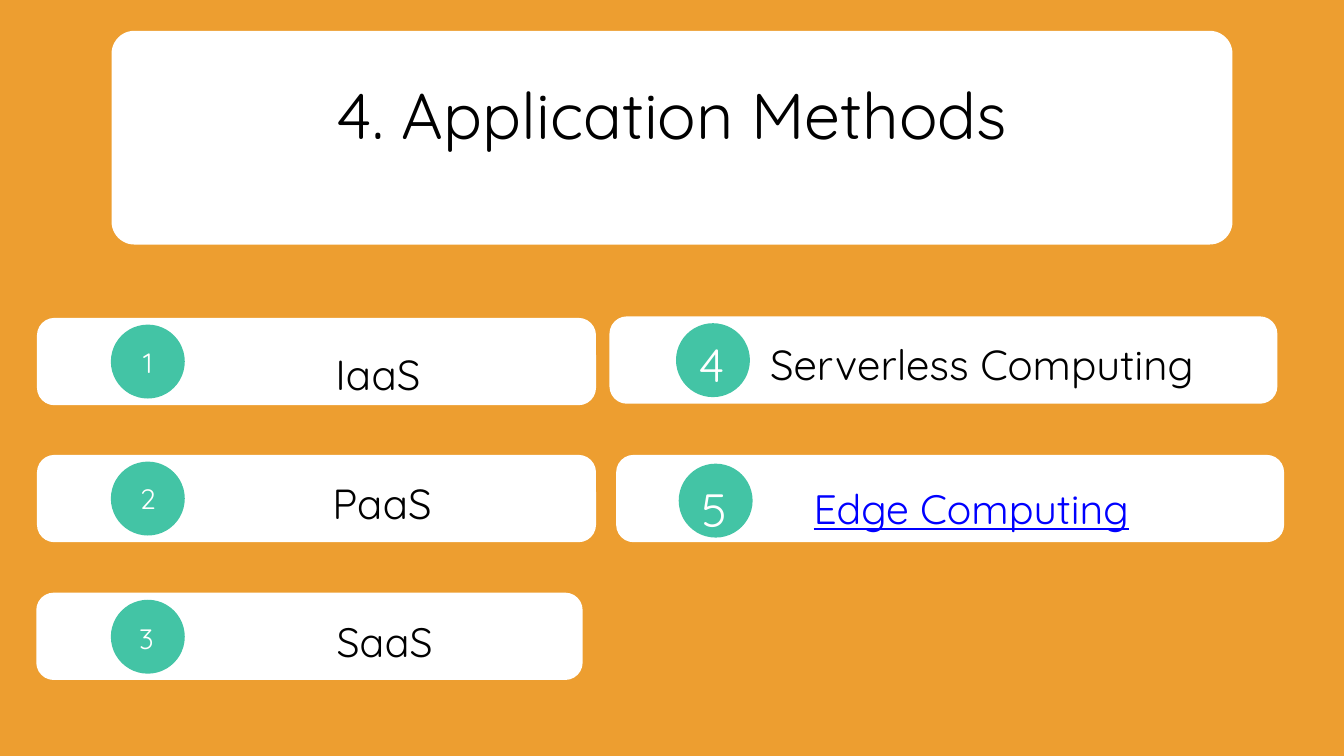
from pptx import Presentation
from pptx.dml.color import RGBColor
from pptx.enum import shapes, text
from pptx.util import Pt


def color(value):
    return RGBColor.from_string(value)


class Deck:
    font = "Quicksand"
    orange, white, green = "ED9E30", "FFFFFF", "43C4A5"
    black, blue = "000000", "0000FF"

    def __init__(self, width, height):
        self.presentation = Presentation()
        self.presentation.slide_width = Pt(width)
        self.presentation.slide_height = Pt(height)
        self.slide = self.presentation.slides.add_slide(self.presentation.slide_layouts[5])
        fill = self.slide.background.fill
        fill.solid()
        fill.fore_color.rgb = color(self.orange)

    def block(self, kind, left, top, width, height, fill):
        block = self.slide.shapes.add_shape(kind, Pt(left), Pt(top), Pt(width), Pt(height))
        block.shadow.inherit = False
        block.fill.solid()
        block.fill.fore_color.rgb = color(fill)
        block.line.fill.background()
        return block

    def card(self, left, top, width, height, rounding):
        card = self.block(shapes.MSO_SHAPE.ROUNDED_RECTANGLE, left, top, width, height, self.white)
        card.adjustments[0] = rounding

    def circle(self, left, top, size):
        self.block(shapes.MSO_SHAPE.OVAL, left, top, size, size, self.green)

    def set_words(self, holder, words, size, spacing, fill, underline=None):
        frame = holder.text_frame
        frame.text = words
        frame.word_wrap = True
        frame.auto_size = text.MSO_AUTO_SIZE.NONE
        frame.vertical_anchor = text.MSO_ANCHOR.TOP
        frame.margin_left = frame.margin_right = frame.margin_top = frame.margin_bottom = 0
        line = frame.paragraphs[0]
        line.alignment = text.PP_ALIGN.CENTER
        line.line_spacing = Pt(spacing)
        font = line.runs[0].font
        font.name, font.size, font.underline = self.font, Pt(size), underline
        font.color.rgb = color(fill)

    def title(self, words, left, top, width, height):
        title = self.slide.shapes.title
        title.left, title.top, title.width, title.height = Pt(left), Pt(top), Pt(width), Pt(height)
        self.slide.shapes._spTree.append(title._element)
        self.set_words(title, words, 69.2, 83, self.black)

    def label(self, words, left, top, width, size, fill, underline=None):
        spacing = size * 1.3
        label = self.slide.shapes.add_textbox(Pt(left), Pt(top), Pt(width), Pt(spacing))
        self.set_words(label, words, size, spacing, fill, underline)

    def save(self):
        self.presentation.save("out.pptx")


def main():
    deck = Deck(1440, 810)
    deck.card(119.5, 33, 1201, 229, 0.107)
    deck.title("4. Application Methods", 237.6, 80, 964.8, 83)

    methods = [
        ("IaaS", (39.6, 340.6, 599), (118.8, 347.8), (140.4, 367.2, 30), (405, 368.6, 45)),
        ("PaaS", (39.6, 487.4, 599), (118.8, 494.6), (140.4, 513.4, 30), (409.3, 506.9, 45)),
        ("SaaS", (38.9, 635, 585.4), (118.8, 642.6), (139, 662.4, 30), (412.2, 655.9, 44)),
        ("Serverless Computing", (653, 339, 715.7), (724.3, 346.3), (744.5, 355, 50), (1052, 358.6, 45)),
        ("Edge Computing", (660.2, 487.4, 715.7), (727.2, 496.8), (747.4, 510.5, 50), (1040.8, 514.1, 44)),
    ]
    label_width = 584
    for number, (method, card, circle, digit, label) in enumerate(methods, 1):
        deck.card(*card, 93.6, 0.2)
        deck.circle(*circle, 79.2)
        left, top, size = digit
        deck.label(str(number), left, top, 36, size, deck.white)
        center, top, size = label
        linked = method == "Edge Computing"
        deck.label(method, center - label_width / 2, top, label_width, size,
                   deck.blue if linked else deck.black, linked or None)
    deck.save()


if __name__ == "__main__":
    main()
